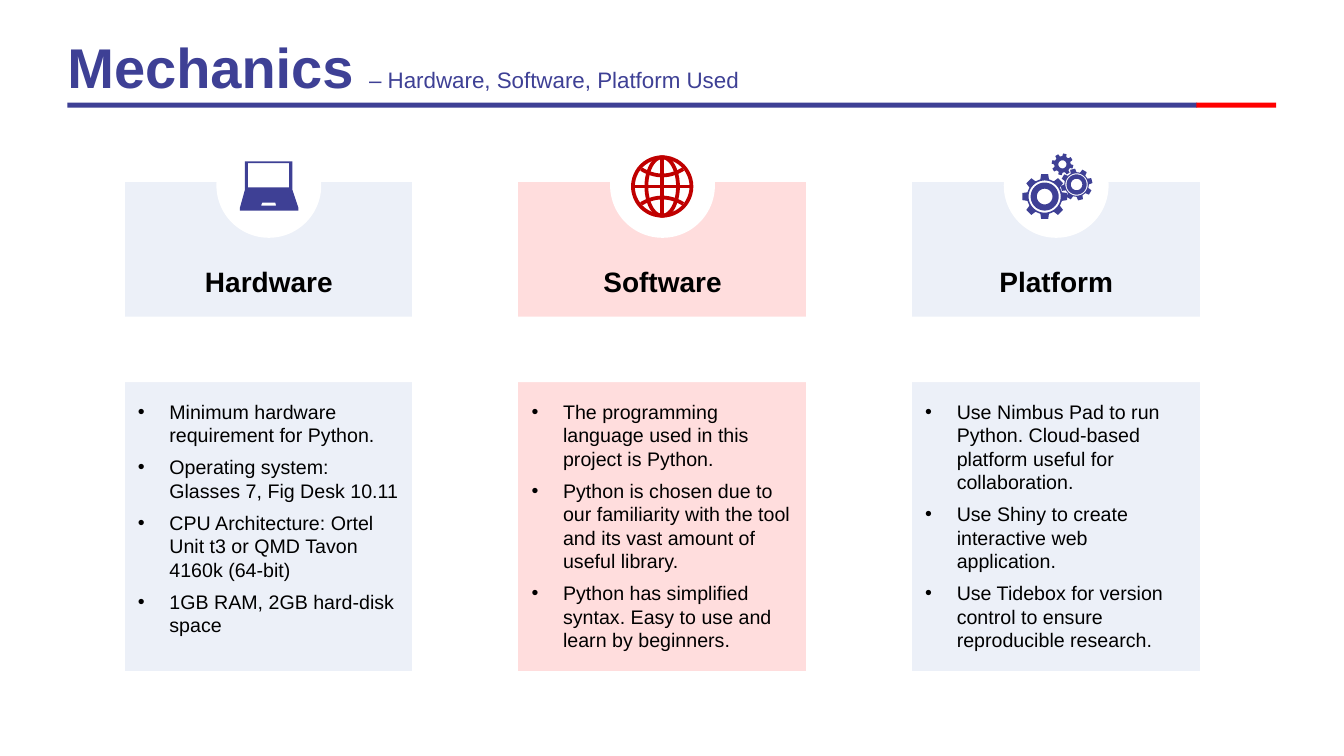
"""Build the Mechanics slide: hardware, software and platform cards."""
from math import cos, pi, sin

from lxml.etree import SubElement
from pptx import Presentation
from pptx.dml.color import RGBColor
from pptx.enum.shapes import MSO_SHAPE
from pptx.enum.text import MSO_ANCHOR, PP_ALIGN
from pptx.oxml.ns import qn
from pptx.util import Pt

NAVY, RED, BLACK, WHITE = "3E4095", "C00000", "000000", "FFFFFF"


def paint(shape, fill=None, line=None, width=0):
    """Set fill and line, with square corners and no shadow."""
    shape.shadow.inherit = False
    for part, tone in ((shape.fill, fill), (shape.line.fill, line)):
        if tone:
            part.solid()
            part.fore_color.rgb = RGBColor.from_string(tone)
        else:
            part.background()
    if line:
        shape.line.width = Pt(width)
        SubElement(shape.line._get_or_add_ln(), qn("a:miter"), lim="800000")


def write(place, lines, anchor=MSO_ANCHOR.MIDDLE, align=PP_ALIGN.LEFT):
    """Add a text box with one paragraph for each list of runs."""
    frame = shapes.add_textbox(*map(Pt, place)).text_frame
    frame.word_wrap = True
    frame.vertical_anchor = anchor
    for i, line in enumerate(lines):
        para = frame.add_paragraph() if i else frame.paragraphs[0]
        para.alignment = align
        for words, size, tone, bold in line:
            run = para.add_run()
            run.text = words
            run.font.name = "Arial"
            run.font.size = Pt(size)
            run.font.bold = bold
            run.font.color.rgb = RGBColor.from_string(tone)
    return frame


deck = Presentation()
deck.slide_width, deck.slide_height = Pt(960), Pt(540)
shapes = deck.slides.add_slide(deck.slide_layouts[6]).shapes

for left, width, tone in ((48.2, 807, NAVY), (854.6, 57, "FF0000")):
    bar = shapes.add_shape(MSO_SHAPE.RECTANGLE, Pt(left), Pt(73.4), Pt(width), Pt(3.6))
    paint(bar, tone)

title = write((48.2, 28, 850, 44.6), [[
    ("Mechanics ", 40, NAVY, True),
    ("– Hardware, Software, Platform Used", 16, NAVY, False),
]])
title.margin_left = title.margin_right = title.margin_top = title.margin_bottom = 0
title.paragraphs[0].line_spacing = 0.9

cards = [
    ("Hardware", "ECF0F8", [
        "Minimum hardware requirement for Python.",
        "Operating system: Glasses 7, Fig Desk 10.11",
        "CPU Architecture: Ortel Unit t3 or QMD Tavon 4160k (64-bit)",
        "1GB RAM, 2GB hard-disk space",
    ]),
    ("Software", "FFDDDD", [
        "The programming language used in this project is Python.",
        "Python is chosen due to our familiarity with the tool and its vast amount of "
        "useful library.",
        "Python has simplified syntax. Easy to use and learn by beginners.",
    ]),
    ("Platform", "ECF0F8", [
        "Use Nimbus Pad to run Python. Cloud-based platform useful for collaboration.",
        "Use Shiny to create interactive web application.",
        "Use Tidebox for version control to ensure reproducible research.",
    ]),
]
for i, (name, tone, points) in enumerate(cards):
    left = 91.4 + 281.2 * i
    card = shapes.add_shape(MSO_SHAPE.RECTANGLE, Pt(left), Pt(132.6), Pt(201), Pt(344.2))
    paint(card, tone, tone, 4.5)
    disc = shapes.add_shape(MSO_SHAPE.OVAL, Pt(left + 63.2), Pt(95), Pt(74.9), Pt(74.9))
    paint(disc, WHITE)
    write((left + 46.3, 185.2, 108.7, 31.5), [[(name, 20, BLACK, True)]],
          align=PP_ALIGN.CENTER)
    body = write((left, 282, 201, 195), [[(point, 14, BLACK, False)] for point in points],
                 MSO_ANCHOR.TOP)
    for para in body.paragraphs:
        para.space_after = Pt(6)
        props = para._p.get_or_add_pPr()
        props.set("marL", str(Pt(22.5)))
        props.set("indent", str(Pt(-22.5)))
        SubElement(props, qn("a:buFont"), typeface="Arial")
        SubElement(props, qn("a:buChar"), char="•")

laptop = [
    [(175, 115.2), (208.8, 115.2), (208.8, 135.4), (213.1, 148.3),
     (213.1, 150.5), (171.4, 150.5), (171.4, 148.3), (175, 135.4)],
    [(177.1, 116.6), (206.6, 116.6), (206.6, 133.9), (177.1, 133.9)],
    [(187.2, 144.7), (196.6, 144.7), (197.3, 146.9), (186.5, 146.9)],
]

turn = [(cos(k * pi / 24), sin(k * pi / 24)) for k in range(49)]
midx, midy = 473, 133.2
globe = [[(midx + wide * c, midy + high * s) for c, s in turn]
         for wide, high in ((20.9, 20.9), (11.3, 20.9), (0, 20.9), (20.9, 0))]
for side in (-1, 1):
    globe.append([(midx + 1.5 * k, midy + side * (7.9 + 0.045 * k * k))
                  for k in range(-10, 11)])

icons = [(laptop, NAVY, None), (globe, None, RED)]
gears = [
    (746.2, 140.4, 0, 16.2, 12.7, (11.5, 10, 5.6)),
    (769, 131.8, -14.5, 11.4, 8.8, (8, 7.2, 4.1)),
    (758.9, 117.4, 13, 7.8, 5.9, (2.9,)),
]
for x, y, tilt, tip, root, holes in gears:
    teeth = []
    for k in range(8):
        for size, shift in ((root, -14), (tip, -9), (tip, 9), (root, 14)):
            angle = (45 * k + tilt + shift - 90) * pi / 180
            teeth.append((x + size * cos(angle), y + size * sin(angle)))
    rings = [[(x + size * c, y + size * s) for c, s in turn] for size in holes]
    icons.append(([teeth] + rings, NAVY, None))

for paths, fill, line in icons:
    pen = None
    for path in paths:
        dots = [(100 * x, 100 * y) for x, y in path]
        if pen:
            pen.move_to(*dots[0])
        else:
            pen = shapes.build_freeform(*dots[0], scale=Pt(1) / 100)
        pen.add_line_segments(dots[1:], close=bool(fill))
    paint(pen.convert_to_shape(), fill, line, 2.7)

band = shapes.add_shape(MSO_SHAPE.RECTANGLE, Pt(81.4), Pt(226.1), Pt(787), Pt(46.8))
paint(band, WHITE)

deck.save("out.pptx")
